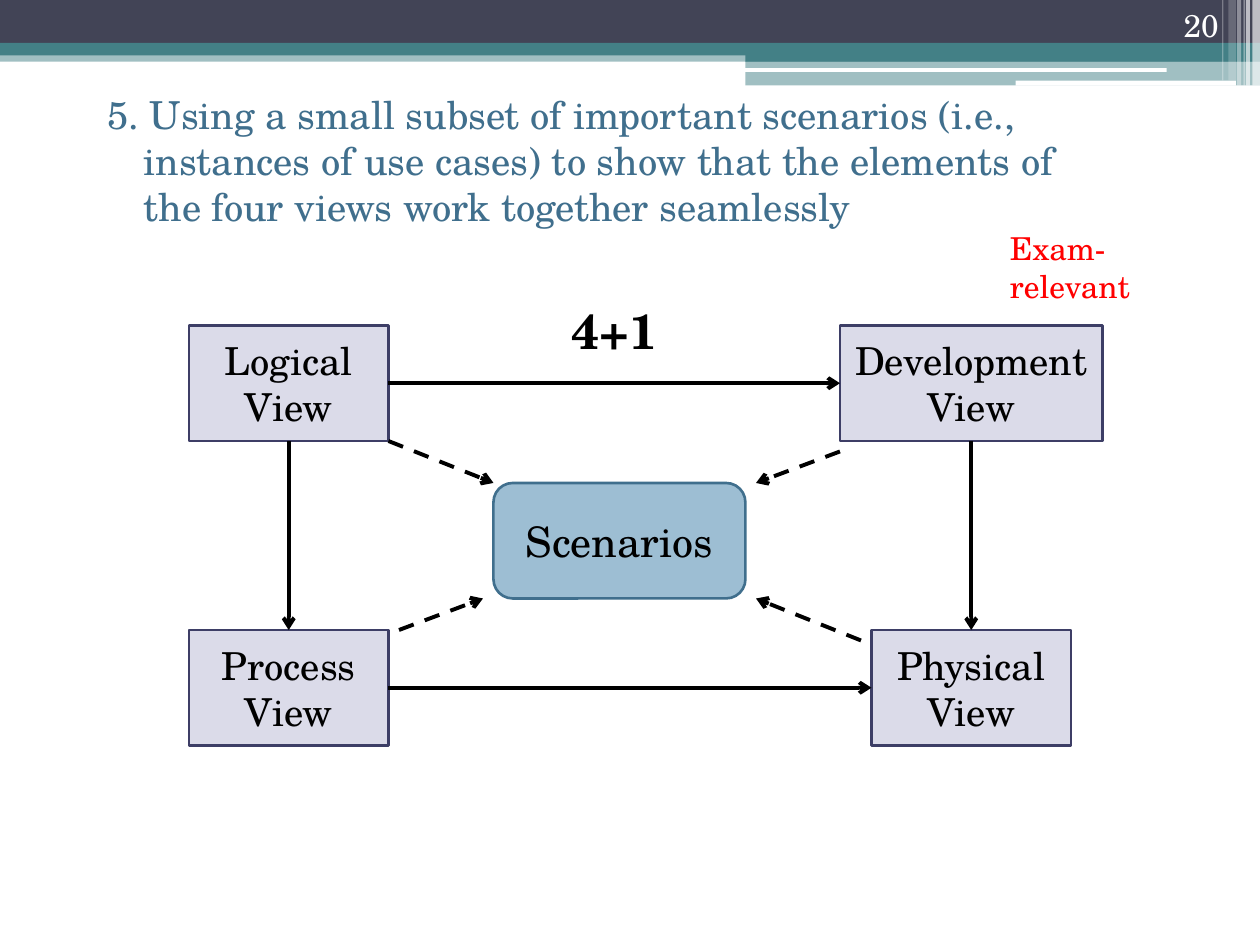
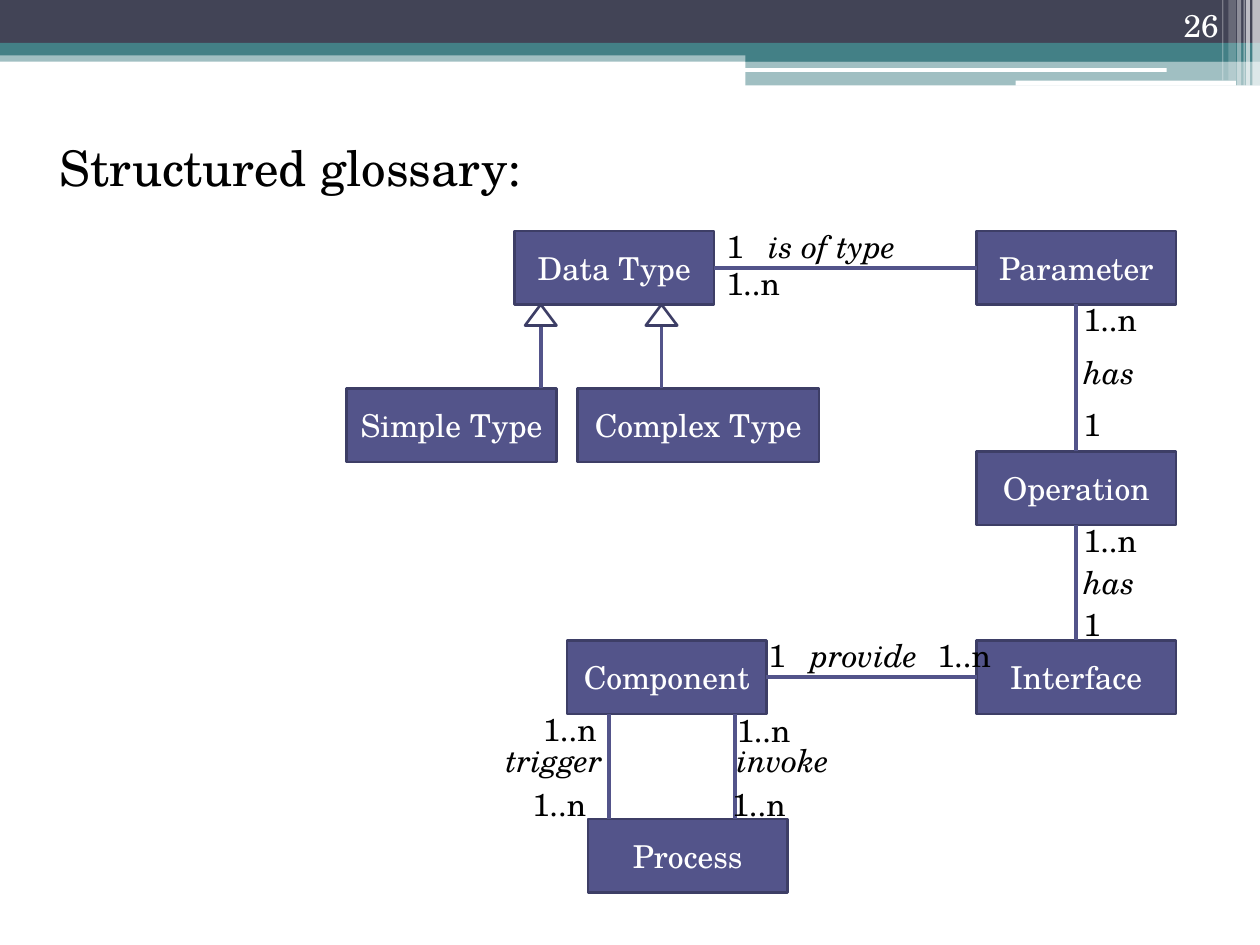
"""Builds two slides on the 4+1 views and a structured glossary."""
from lxml.etree import SubElement
from pptx import Presentation
from pptx.dml.color import RGBColor
from pptx.enum.dml import MSO_LINE
from pptx.enum.shapes import MSO_CONNECTOR, MSO_SHAPE
from pptx.enum.text import MSO_ANCHOR, MSO_AUTO_SIZE, PP_ALIGN
from pptx.oxml.ns import qn
from pptx.util import Pt

FONT = "TeX Gyre Schola"
COLORS = {
    "white": "FFFFFF", "black": "000000", "red": "FF0000",
    "slate": "424456", "teal": "438086",
    "lilac": "DBDBE9", "violet": "53548A", "violet edge": "3D3E66",
    "sky": "9DBED3", "sky edge": "406F8D",
}
BANDS = [
    (0, 28.8, 720, 6.5, "teal", 50),
    (0, 0, 720, 24.5, "slate", 100),
    (0, 24.5, 720, 7.2, "teal", 100),
    (426, 28, 294, 7.2, "teal", 100),
    (426, 34.8, 294, 14, "teal", 50),
    (425.5, 38.9, 241.2, 2.2, "white", 100),
    (580.3, 46.1, 126, 2.9, "white", 100),
]
STRIPES = [
    (715.7, 4.3, 49, 65), (712, 2.2, 49, 65), (710.6, 0.7, 49, 60),
    (707, 2.2, 49, 40), (702, 4.3, 46, 20), (698.4, 0.7, 46, 30),
]
TOP, LEFT, BOTTOM, RIGHT = range(4)


def rgb(name):
    return RGBColor.from_string(COLORS[name])


class Deck:
    """Holds the shared style and the slide being filled."""

    def __init__(self):
        self.presentation = Presentation()
        self.presentation.slide_width = Pt(720)
        self.presentation.slide_height = Pt(540)
        self.layout = self.presentation.slide_layouts[5]
        self.slide = None

    def new_slide(self, number, title, at, size, color, hanging=0):
        first = self.slide is None
        self.slide = self.presentation.slides.add_slide(self.layout)
        if first:
            self.header()
        heading = self.slide.shapes.title
        heading.left, heading.top, heading.width, heading.height = map(Pt, at)
        self.set_text(heading, title, size, color)
        properties = heading.text_frame.paragraphs[0]._p.get_or_add_pPr()
        properties.set("marL", str(Pt(hanging)))
        properties.set("indent", str(-Pt(hanging)))
        self.label(str(number), 643.7, 0, 59.8, color="white",
                   align=PP_ALIGN.RIGHT, anchor=MSO_ANCHOR.BOTTOM)

    def header(self):
        stripes = [(x, 0, w, h, "white", opacity) for x, w, h, opacity in STRIPES]
        for index, (x, y, w, h, color, opacity) in enumerate(BANDS + stripes):
            band = self.box((x, y, w, h), color)
            tint = band._element.spPr.find(".//" + qn("a:srgbClr"))
            SubElement(tint, qn("a:alpha"), val=str(opacity * 1000))
            band._element.nvSpPr.cNvPr.set("id", str(100 + index))
            self.layout.shapes._spTree.insert(2 + index, band._element)

    def set_text(self, holder, text, size, color, align=PP_ALIGN.LEFT,
                 anchor=MSO_ANCHOR.TOP, bold=False, italic=False):
        frame = holder.text_frame
        frame.text = text
        frame.word_wrap = True
        frame.auto_size = MSO_AUTO_SIZE.NONE
        frame.vertical_anchor = anchor
        for paragraph in frame.paragraphs:
            paragraph.alignment = align
            font = paragraph.font
            font.name, font.size = FONT, Pt(size)
            font.bold, font.italic = bold, italic
            font.color.rgb = rgb(color)

    def label(self, text, x, y, w=90, h=28.8, size=18, color="black", **style):
        holder = self.slide.shapes.add_textbox(Pt(x), Pt(y), Pt(w), Pt(h))
        self.set_text(holder, text, size, color, **style)

    def box(self, at, fill, edge=None, text=None, size=18, color="black",
            kind=MSO_SHAPE.RECTANGLE):
        shape = self.slide.shapes.add_shape(kind, *map(Pt, at))
        shape.shadow.inherit = False
        shape.fill.solid()
        shape.fill.fore_color.rgb = rgb(fill)
        if edge:
            shape.line.color.rgb = rgb(edge)
            shape.line.width = Pt(1.5)
        else:
            shape.line.fill.background()
        if text:
            self.set_text(shape, text, size, color, PP_ALIGN.CENTER, MSO_ANCHOR.MIDDLE)
        return shape

    def line(self, ends=(0, 0, 0, 0), color="black", arrow=False, dashed=False):
        link = self.slide.shapes.add_connector(MSO_CONNECTOR.STRAIGHT, *map(Pt, ends))
        link.line.color.rgb = rgb(color)
        link.line.width = Pt(2.25)
        if dashed:
            link.line.dash_style = MSO_LINE.DASH
        if arrow:
            SubElement(link.line._get_or_add_ln(), qn("a:tailEnd"), type="arrow")
        SubElement(link._element.spPr, qn("a:effectLst"))
        return link

    def connect(self, start, start_side, end, end_side, **style):
        link = self.line(**style)
        link.begin_connect(start, start_side)
        link.end_connect(end, end_side)


def views_slide(deck):
    deck.new_slide(
        20, "5. Using a small subset of important scenarios (i.e., instances of use "
        "cases) to show that the elements of the four views work together seamlessly",
        (54, 48.2, 564, 108.7), 22, "sky edge", hanging=21)

    def view(text, x, y, w=114):
        return deck.box((x, y, w, 66), "lilac", "violet edge", text, 22)

    logical = view("Logical View", 108, 186)
    development = view("Development View", 480, 186, 150)
    process = view("Process View", 108, 360)
    physical = view("Physical\nView", 498, 360)
    for link in [(logical, RIGHT, development, LEFT), (development, BOTTOM, physical, TOP),
                 (process, RIGHT, physical, LEFT), (logical, BOTTOM, process, TOP)]:
        deck.connect(*link, arrow=True)

    deck.box((282, 276, 144, 66), "sky", "sky edge", "Scenarios", 24,
             kind=MSO_SHAPE.ROUNDED_RECTANGLE)
    for ends in [(222, 252, 282, 276), (492, 366, 432, 342),
                 (480, 258, 432, 276), (228, 360, 276, 342)]:
        deck.line(ends, arrow=True, dashed=True)

    deck.label("4+1", 258, 168, 186, 41, size=28, align=PP_ALIGN.CENTER, bold=True)
    deck.label("Exam-relevant", 570, 127.4, 133, 50, color="red")


def glossary_slide(deck):
    deck.new_slide(26, "Structured glossary:", (27, 75, 300, 60), 28, "black")

    def term(text, x, y, w=114):
        return deck.box((x, y, w, 42), "violet", "violet edge", text, color="white")

    data_type = term("Data Type", 294, 132)
    term("Simple Type", 198, 222, 120)
    term("Complex Type", 330, 222, 138)
    parameter = term("Parameter", 558, 132)
    operation = term("Operation", 558, 258)
    interface = term("Interface", 558, 366)
    component = term("Component", 324, 366)
    term("Process", 336, 468)

    for x in (309, 378):
        deck.line((x, 222, x, 186), "violet")
        deck.box((x - 9, 174, 18, 12), "white", "violet edge",
                 kind=MSO_SHAPE.ISOSCELES_TRIANGLE)
    for link in [(parameter, LEFT, data_type, RIGHT), (operation, TOP, parameter, BOTTOM),
                 (interface, TOP, operation, BOTTOM), (interface, LEFT, component, RIGHT)]:
        deck.connect(*link, color="violet")
    for x in (348, 420):
        deck.line((x, 468, x, 408), "violet")

    for relation, x, y in [("is of type", 432, 126), ("has", 612, 198), ("has", 612, 318),
                           ("provide", 456, 360), ("trigger", 282, 420),
                           ("invoke", 414, 420)]:
        deck.label(relation, x, y, italic=True)
    for count, x, y in [("1", 408, 126), ("1..n", 408, 147.5),
                        ("1..n", 612, 168), ("1", 612, 228),
                        ("1..n", 612, 294), ("1", 612, 342),
                        ("1", 432, 360), ("1..n", 528.5, 360), ("1..n", 414, 403)]:
        deck.label(count, x, y, 60)
    for x, y in [(288, 402), (282, 445), (396, 445)]:
        deck.label("1..n", x, y, 60, align=PP_ALIGN.RIGHT)


def main():
    deck = Deck()
    views_slide(deck)
    glossary_slide(deck)
    deck.presentation.save("out.pptx")


if __name__ == "__main__":
    main()
